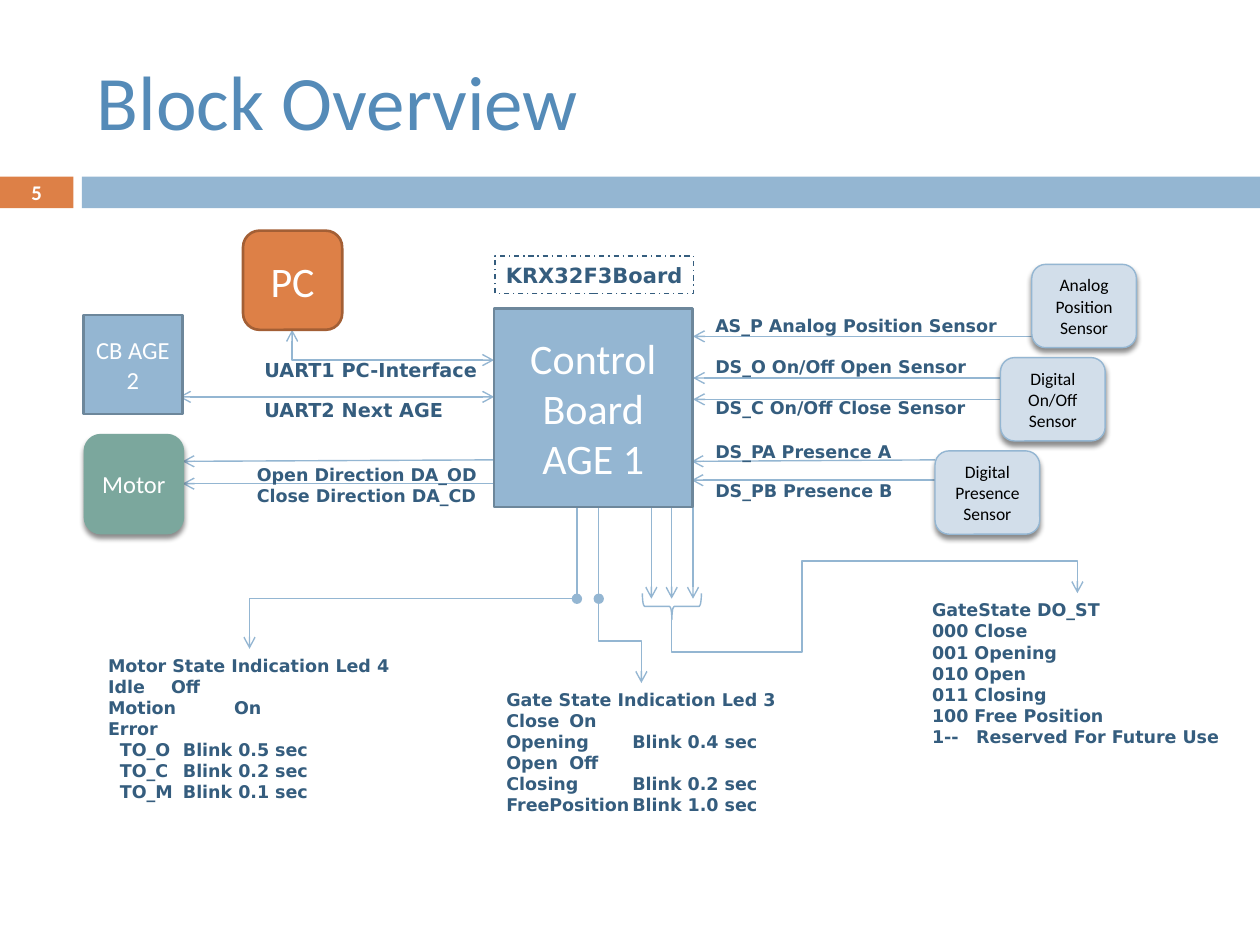
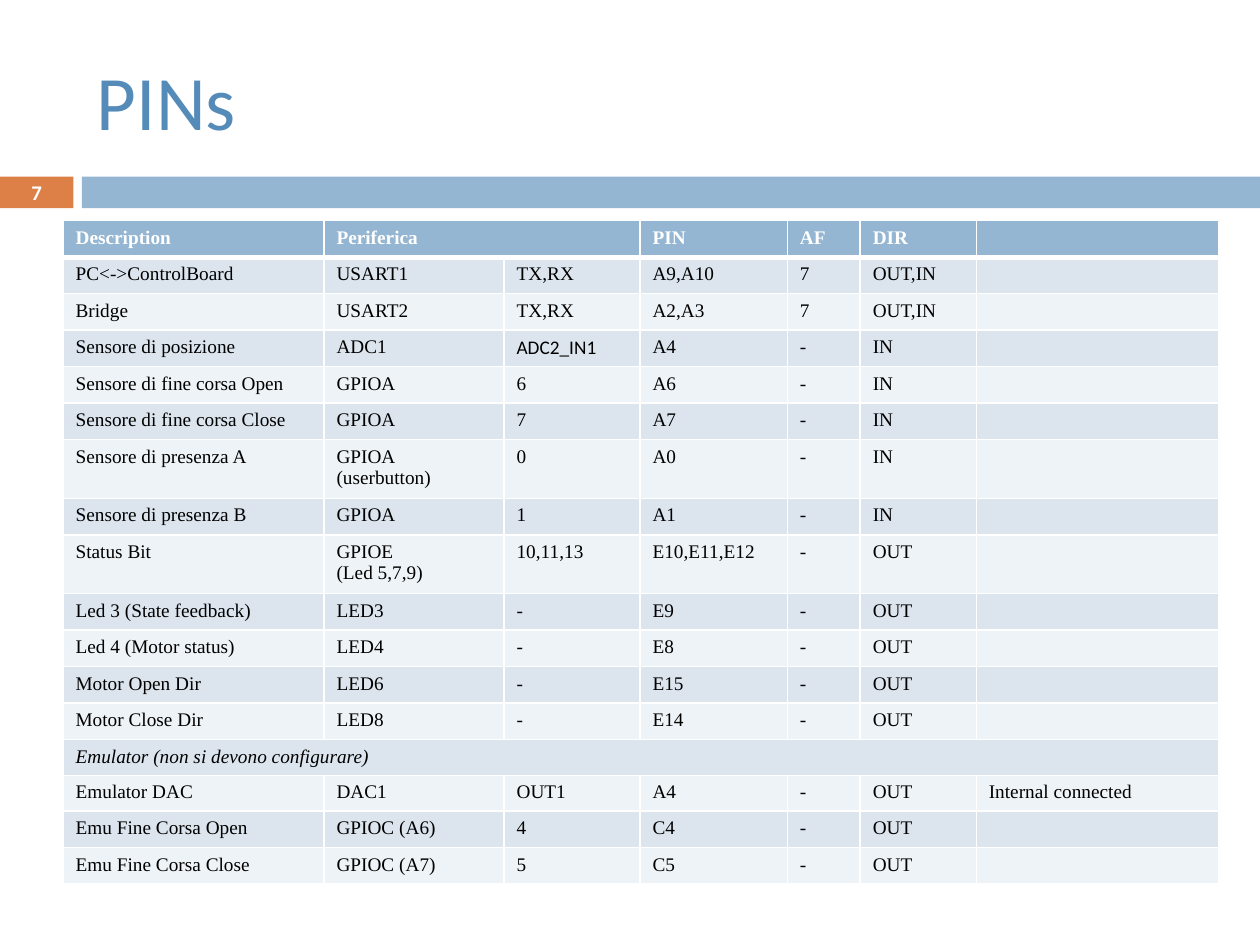
from dataclasses import dataclass
from lxml.etree import SubElement
from pptx import Presentation
from pptx.dml.color import RGBColor
from pptx.enum.dml import MSO_LINE
from pptx.enum.shapes import MSO_CONNECTOR, MSO_SHAPE
from pptx.enum.text import MSO_ANCHOR, MSO_AUTO_SIZE, PP_ALIGN
from pptx.oxml.ns import qn
from pptx.util import Cm, Pt


@dataclass(frozen=True)
class Theme:
    blue: str = "94B6D2"
    blue_edge: str = "6D879B"
    title_blue: str = "558BB8"
    navy: str = "355D7E"
    orange: str = "DD8047"
    orange_edge: str = "A35F35"
    green: str = "7BA79D"
    pale: str = "D2DEEA"
    row_odd: str = "DCE5EE"
    row_even: str = "EEF3F7"
    white: str = "FFFFFF"
    black: str = "000000"
    sans: str = "Calibri"
    label: str = "DejaVu Sans"
    serif: str = "Times New Roman"
    title_size: float = 44
    number_size: float = 11.9
    big: float = 24
    medium: float = 14
    board_size: float = 12
    uart_size: float = 11
    small: float = 10
    cell_size: float = 11
    thin: float = 0.79
    thick: float = 1.5


T = Theme()

# ---------- Content: block overview (lengths in cm) ----------
# text, left, top, width, height, rounded, fill, edge, edge width, size, colour, shadow
BLOCKS = [
    ("Control\nBoard\nAGE 1", 9.96, 6.22, 4, 4, False, T.blue, T.blue_edge, T.thick, T.big, T.white, False),
    ("PC", 4.9, 4.65, 2, 2, True, T.orange, T.orange_edge, T.thick, T.big, T.white, False),
    ("CB AGE 2", 1.68, 6.35, 2, 2, False, T.blue, T.blue_edge, T.thick, T.medium, T.white, False),
    ("Motor", 1.7, 8.76, 2, 2, True, T.green, T.green, T.thin, T.medium, T.white, True),
]
SENSORS = [("Analog\nPosition\nSensor", 20.8), ("Digital\nOn/Off\nSensor", 20.17),
           ("Digital\nPresence Sensor", 18.85)]
SENSOR_TOP, SENSOR_STEP = 5.33, 1.88
BLOCKS += [(name, left, SENSOR_TOP + SENSOR_STEP * row, 2.11, 1.68, True, T.pale, T.blue,
            T.thin, T.small, T.black, True) for row, (name, left) in enumerate(SENSORS)]

BOARD_NAME = "KRX32F3Board"

# text, left, top, width, height, size
SIGNALS = [
    ("AS_P Analog Position Sensor", 14.17, 6.22, 6.3, 0.69, T.small),
    ("DS_O On/Off Open Sensor", 14.17, 7.06, 5.79, 0.69, T.small),
    ("DS_C On/Off Close Sensor", 14.17, 7.87, 5.79, 0.69, T.small),
    ("DS_PA Presence A", 14.17, 8.76, 4.19, 0.69, T.small),
    ("DS_PB Presence B", 14.17, 9.55, 4.19, 0.69, T.small),
    ("Open Direction DA_OD\nClose Direction DA_CD", 4.93, 9.22, 5.03, 1.12, T.small),
    ("UART1 PC-Interface", 5.08, 7.09, 4.93, 0.74, T.uart_size),
    ("UART2 Next AGE", 5.08, 7.9, 4.17, 0.74, T.uart_size),
]
MOTOR_LED = ("Motor State Indication Led 4\nIdle\tOff\nMotion\tOn\nError\n"
             "TO_O\tBlink 0.5 sec\nTO_C\tBlink 0.2 sec\nTO_M\tBlink 0.1 sec")
GATE_LED = ("Gate State Indication Led 3\nClose\tOn\nOpening\tBlink 0.4 sec\nOpen\tOff\n"
            "Closing\tBlink 0.2 sec\nFreePosition\tBlink 1.0 sec")
GATE_STATE = ("GateState DO_ST\n000 Close\n001 Opening\n010 Open\n011 Closing\n"
              "100 Free Position\n1--\tReserved For Future Use")

# start, end, mark at start, mark at end
WIRES = [
    ((9.96, 8), (3.61, 8), "arrow", "arrow"),
    ((9.96, 9.27), (3.68, 9.3), None, "arrow"),
    ((9.96, 9.75), (3.68, 9.75), None, "arrow"),
    ((18.85, 9.27), (13.94, 9.3), None, "arrow"),
    ((18.85, 9.68), (13.94, 9.68), None, "arrow"),
]
WIRES += [((21.97, y), (13.97, y), None, "arrow") for y in (6.78, 7.62, 8.05)]
WIRES += [((x, 10.16), (x, 12.07), None, mark) for x, mark in
          ((11.63, "oval"), (12.07, "oval"), (13.13, "arrow"), (13.54, "arrow"), (13.97, "arrow"))]

# start, end, mark at start, rotation, flips, preset, adjustments
BENDS = [
    ((5.89, 6.65), (9.96, 7.26), "arrow", 270, "H", "bentConnector2", ()),
    ((11.63, 12.07), (5.03, 13.08), None, 180, "V", "bentConnector2", ()),
    ((12.07, 12.07), (12.93, 13.77), None, 270, "H", "bentConnector3", (0.5,)),
    ((13.54, 12.5), (21.72, 11.96), None, 90, "HV", "bentConnector5", (-1.2, 0.321, 2.2)),
]

# ---------- Content: pins ----------
PIN_COLUMNS = [5.26, 3.63, 2.74, 2.97, 1.47, 2.34, 4.88]
PINS = [
    ("Description", "Periferica", "", "PIN", "AF", "DIR", ""),
    ("PC<->ControlBoard", "USART1", "TX,RX", "A9,A10", "7", "OUT,IN", ""),
    ("Bridge", "USART2", "TX,RX", "A2,A3", "7", "OUT,IN", ""),
    ("Sensore di posizione", "ADC1", "ADC2_IN1", "A4", "-", "IN", ""),
    ("Sensore di fine corsa Open", "GPIOA", "6", "A6", "-", "IN", ""),
    ("Sensore di fine corsa Close", "GPIOA", "7", "A7", "-", "IN", ""),
    ("Sensore di presenza A", "GPIOA\n(userbutton)", "0", "A0", "-", "IN", ""),
    ("Sensore di presenza B", "GPIOA", "1", "A1", "-", "IN", ""),
    ("Status Bit", "GPIOE\n(Led 5,7,9)", "10,11,13", "E10,E11,E12", "-", "OUT", ""),
    ("Led 3 (State feedback)", "LED3", "-", "E9", "-", "OUT", ""),
    ("Led 4 (Motor status)", "LED4", "-", "E8", "-", "OUT", ""),
    ("Motor Open Dir", "LED6", "-", "E15", "-", "OUT", ""),
    ("Motor Close Dir", "LED8", "-", "E14", "-", "OUT", ""),
    ("Emulator (non si devono configurare)", "", "", "", "", "", ""),
    ("Emulator DAC", "DAC1", "OUT1", "A4", "-", "OUT", "Internal connected"),
    ("Emu Fine Corsa Open", "GPIOC (A6)", "4", "C4", "-", "OUT", ""),
    ("Emu Fine Corsa Close", "GPIOC (A7)", "5", "C5", "-", "OUT", ""),
]
EMULATOR_ROW = 13


# ---------- Helpers ----------
def rgb(colour):
    return RGBColor.from_string(colour)


def cm(*lengths):
    return [Cm(length) for length in lengths]


def write(frame, text, font, size, colour, bold=False, italic=False, align=PP_ALIGN.LEFT):
    for index, line in enumerate(text.split("\n")):
        paragraph = frame.paragraphs[0] if index == 0 else frame.add_paragraph()
        paragraph.alignment = align
        if not line:
            SubElement(paragraph._p, qn("a:endParaRPr"), sz=str(int(size * 100)))
            continue
        run = paragraph.add_run()
        run.text = line
        run.font.name, run.font.size = font, Pt(size)
        run.font.bold, run.font.italic = bold, italic
        run.font.color.rgb = rgb(colour)


def add_box(slide, kind, box, fill=None, edge=None, width=T.thin):
    shape = slide.shapes.add_shape(kind, *cm(*box))
    shape.shadow.inherit = False
    if fill:
        shape.fill.solid()
        shape.fill.fore_color.rgb = rgb(fill)
    else:
        shape.fill.background()
    if edge:
        shape.line.color.rgb = rgb(edge)
        shape.line.width = Pt(width)
    else:
        shape.line.fill.background()
    return shape


def add_drop_shadow(shape):
    effects = shape.element.spPr.find(qn("a:effectLst"))
    drop = SubElement(effects, qn("a:outerShdw"), blurRad=str(Pt(3)), dist=str(Pt(2.4)),
                      dir="5400000", rotWithShape="0")
    tint = SubElement(drop, qn("a:srgbClr"), val=T.black)
    SubElement(tint, qn("a:alpha"), val="45000")


def add_label(slide, text, left, top, width, height, size=T.small):
    label = slide.shapes.add_textbox(*cm(left, top, width, height))
    label.text_frame.word_wrap = False
    label.text_frame.auto_size = MSO_AUTO_SIZE.SHAPE_TO_FIT_TEXT
    write(label.text_frame, text, T.label, size, T.navy, bold=True)
    return label.text_frame


def add_wire(slide, kind, start, end, start_mark, end_mark):
    wire = slide.shapes.add_connector(kind, *cm(*start, *end))
    wire.line.color.rgb = rgb(T.blue)
    wire.line.width = Pt(T.thin)
    stroke = wire.line._get_or_add_ln()
    for tag, mark in (("a:headEnd", start_mark), ("a:tailEnd", end_mark)):
        if mark:
            SubElement(stroke, qn(tag), type=mark)
    SubElement(wire.element.spPr, qn("a:effectLst"))
    return wire


def add_bend(slide, start, end, start_mark, rotation, flips, preset, adjustments):
    (x1, y1), (x2, y2) = start, end
    width, height = abs(x2 - x1), abs(y2 - y1)
    if rotation % 180:
        width, height = height, width
    left, top = (x1 + x2 - width) / 2, (y1 + y2 - height) / 2
    bend = add_wire(slide, MSO_CONNECTOR.ELBOW, (left, top), (left + width, top + height),
                    start_mark, "arrow")
    frame = bend.element.spPr.find(qn("a:xfrm"))
    frame.set("rot", str(rotation * 60000))
    for flip in flips:
        frame.set("flip" + flip, "1")
    geometry = bend.element.spPr.find(qn("a:prstGeom"))
    geometry.set("prst", preset)
    guides = geometry.find(qn("a:avLst"))
    for index, value in enumerate(adjustments, 1):
        SubElement(guides, qn("a:gd"), name=f"adj{index}" if len(adjustments) > 1 else "adj1",
                   fmla=f"val {round(value * 100000)}")


def set_borders(cell, bottom):
    properties = cell._tc.get_or_add_tcPr()
    for position, (side, width) in enumerate((("L", 1), ("R", 1), ("T", 1), ("B", bottom))):
        border = SubElement(properties, qn("a:ln" + side), w=str(Pt(width)))
        paint = SubElement(border, qn("a:solidFill"))
        SubElement(paint, qn("a:srgbClr"), val=T.white)
        properties.insert(position, border)


def add_titled_slide(title, number):
    slide = deck.slides.add_slide(layout)
    write(slide.shapes.title.text_frame, title, T.sans, T.title_size, T.title_blue)
    badge = slide.shapes.add_textbox(*cm(0, 3.53, 1.48, 0.69)).text_frame
    badge.word_wrap = True
    badge.vertical_anchor = MSO_ANCHOR.MIDDLE
    write(badge, number, T.sans, T.number_size, T.white, bold=True, align=PP_ALIGN.CENTER)
    return slide


# ---------- Shared layout: title place and bands ----------
deck = Presentation()
deck.slide_width, deck.slide_height = cm(25.4, 19.05)
layout = deck.slide_layouts.get_by_name("Title Only")
heading = layout.placeholders[0]
heading.left, heading.top, heading.width, heading.height = cm(1.7, 0.64, 22.66, 2.74)

overview = add_titled_slide("Block Overview", "5")
for box, colour in (((0, 3.56, 1.48, 0.64), T.orange), ((1.65, 3.56, 23.75, 0.64), T.blue)):
    band = add_box(overview, MSO_SHAPE.RECTANGLE, box, colour)
    layout.shapes.element.insert(2, band.element)

# ---------- Slide: block overview ----------
for start, end, start_mark, end_mark in WIRES:
    add_wire(overview, MSO_CONNECTOR.STRAIGHT, start, end, start_mark, end_mark)
for bend in BENDS:
    add_bend(overview, *bend)
brace = add_box(overview, MSO_SHAPE.LEFT_BRACE, (13.28, 11.63, 0.53, 1.19), edge=T.blue)
brace.rotation = 270

for text, left, top, width, height, rounded, fill, edge, edge_width, size, colour, shadow in BLOCKS:
    kind = MSO_SHAPE.ROUNDED_RECTANGLE if rounded else MSO_SHAPE.RECTANGLE
    block = add_box(overview, kind, (left, top, width, height), fill, edge, edge_width)
    block.text_frame.vertical_anchor = MSO_ANCHOR.MIDDLE
    write(block.text_frame, text, T.sans, size, colour, align=PP_ALIGN.CENTER)
    if shadow:
        add_drop_shadow(block)

board = add_box(overview, MSO_SHAPE.RECTANGLE, (9.98, 5.16, 4, 0.76), edge=T.navy, width=0.75)
board.line.dash_style = MSO_LINE.DASH_DOT
board.text_frame.word_wrap = False
write(board.text_frame, BOARD_NAME, T.label, T.board_size, T.navy, True, align=PP_ALIGN.CENTER)

for signal in SIGNALS:
    add_label(overview, *signal)
motor_led = add_label(overview, MOTOR_LED, 1.93, 13.08, 6.22, 3.25)
for error in motor_led.paragraphs[4:]:
    error._p.get_or_add_pPr().set("marL", str(Cm(0.24)))
add_label(overview, GATE_LED, 9.96, 13.77, 5.97, 2.82)
gate_state = add_label(overview, GATE_STATE, 18.54, 11.96, 6.38, 3.25)
stops = SubElement(gate_state.paragraphs[-1]._p.get_or_add_pPr(), qn("a:tabLst"))
SubElement(stops, qn("a:tab"), pos=str(Cm(0.89)), algn="l")

# ---------- Slide: pins ----------
pins = add_titled_slide("PINs", "7")
table = pins.shapes.add_table(len(PINS), len(PIN_COLUMNS),
                              *cm(1.27, 4.45, sum(PIN_COLUMNS), 13.15)).table
for column, width in zip(table.columns, PIN_COLUMNS):
    column.width = Cm(width)
for r, entries in enumerate(PINS):
    two_lines = any("\n" in entry for entry in entries)
    compact = r in (EMULATOR_ROW, EMULATOR_ROW + 1)
    table.rows[r].height = Cm(1.12 if two_lines else 0.68 if compact else 0.735)
    header = r == 0
    for c, entry in enumerate(entries):
        cell = table.cell(r, c)
        cell.fill.solid()
        cell.fill.fore_color.rgb = rgb(T.blue if header else T.row_odd if r % 2 else T.row_even)
        set_borders(cell, 3 if header else 1)
        write(cell.text_frame, entry, T.sans if entry == "ADC2_IN1" else T.serif, T.cell_size,
              T.white if header else T.black, bold=header, italic=r == EMULATOR_ROW)
table.cell(0, 1).merge(table.cell(0, 2))
table.cell(EMULATOR_ROW, 0).merge(table.cell(EMULATOR_ROW, len(PIN_COLUMNS) - 1))

deck.save("out.pptx")
